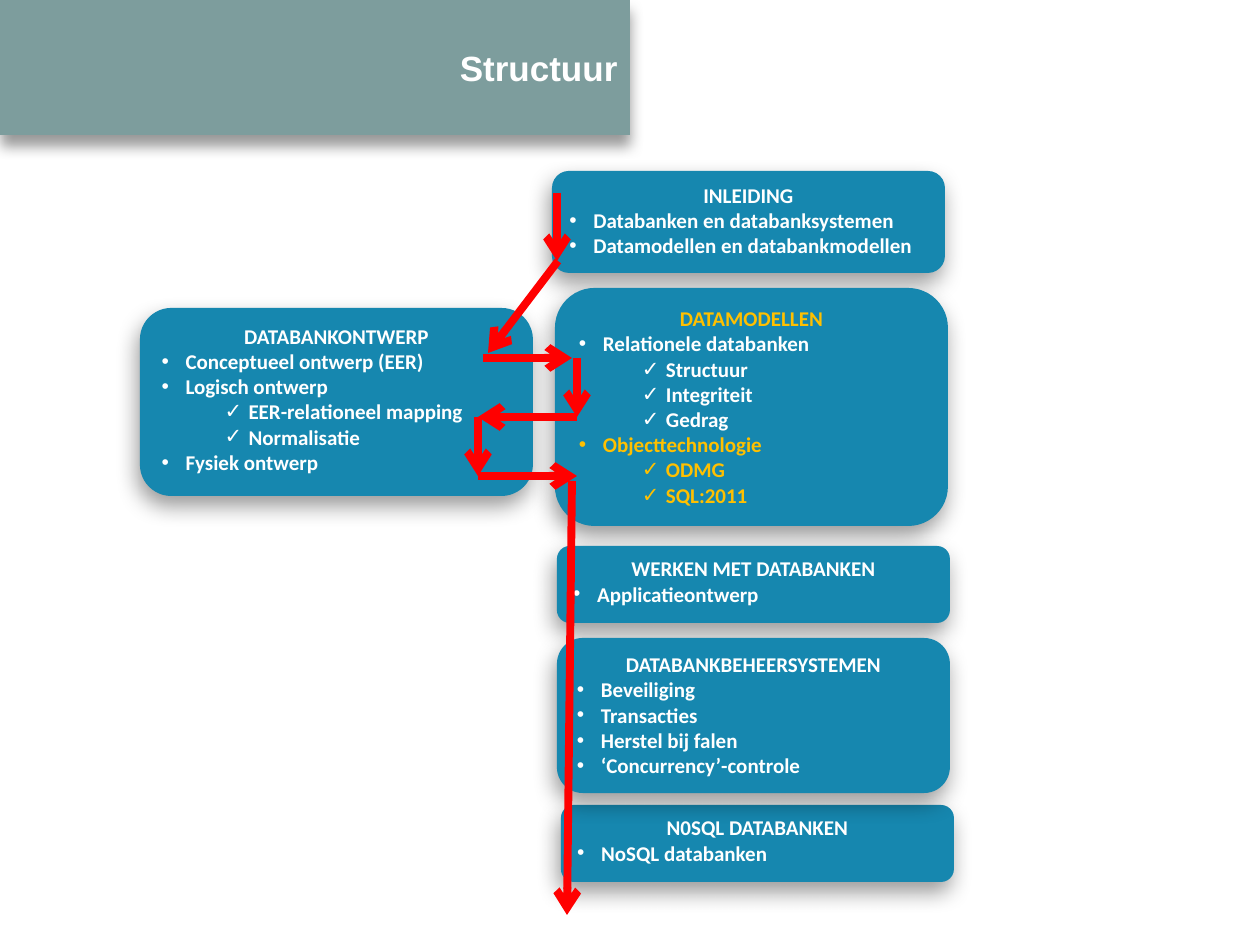
from dataclasses import dataclass

from lxml.etree import SubElement
from pptx import Presentation
from pptx.dml.color import RGBColor as RGB
from pptx.enum.shapes import MSO_CONNECTOR as CONN, MSO_SHAPE as SHAPE
from pptx.enum.text import MSO_ANCHOR as ANCHOR, PP_ALIGN as ALIGN
from pptx.oxml.ns import qn
from pptx.util import Emu, Pt

SCALE = 914400 / 126  # EMU per px


@dataclass(frozen=True)
class Theme:
    banner: str = "7D9D9D"
    box: str = "1687AF"
    text: str = "FFFFFF"
    current: str = "FFC000"
    arrow: str = "FF0000"
    shadow: str = "000000"
    title_font: str = "Arial"
    body_font: str = "Calibri"
    title_size: int = 20
    body_size: int = 12
    arrow_width: float = 4.5


T = Theme()


def px(n):
    return Emu(round(n * SCALE))


def add_panel(slide, shape, box, fill, blur, angle):
    """Filled shape without outline, with a soft drop shadow."""
    s = slide.shapes.add_shape(shape, *map(px, box))
    s.fill.solid()
    s.fill.fore_color.rgb = RGB.from_string(fill)
    s.line.fill.background()
    s.shadow.inherit = False
    shadow = SubElement(s._element.spPr.find(qn("a:effectLst")), qn("a:outerShdw"),
                        blurRad=str(Pt(blur)), dist=str(Pt(6)),
                        dir=str(angle * 60000), algn="t", rotWithShape="0")
    color = SubElement(shadow, qn("a:srgbClr"), val=T.shadow)
    SubElement(color, qn("a:alpha"), val="40000")
    s.text_frame.word_wrap = True
    return s


def add_bullet(p, char, left):
    """Hanging bullet with its text starting left px from the inset."""
    pPr = p._p.get_or_add_pPr()
    pPr.set("marL", str(px(left)))
    pPr.set("indent", str(-px(24)))
    SubElement(pPr, qn("a:buFont"), typeface="Arial")
    SubElement(pPr, qn("a:buChar"), char=char)


def write(p, text, font=T.body_font, size=T.body_size, color=T.text,
          align=ALIGN.LEFT, bullet=None, left=24):
    p.alignment = align
    if bullet:
        add_bullet(p, bullet, left)
    r = p.add_run()
    r.text = text
    r.font.name = font
    r.font.size = Pt(size)
    r.font.bold = True
    r.font.color.rgb = RGB.from_string(color)


def add_banner(slide, box, title):
    s = add_panel(slide, SHAPE.RECTANGLE, box, T.banner, blur=8, angle=90)
    s.text_frame.vertical_anchor = ANCHOR.MIDDLE
    write(s.text_frame.paragraphs[0], title, font=T.title_font,
          size=T.title_size, align=ALIGN.RIGHT)


def add_chapter(slide, box, heading, topics, current=()):
    """Rounded box: centred heading, topics, and subtopics in nested tuples."""
    s = add_panel(slide, SHAPE.ROUNDED_RECTANGLE, box, T.box, blur=13, angle=106)
    tf = s.text_frame
    tf.vertical_anchor = ANCHOR.TOP

    def color(text):
        return T.current if text in current else T.text

    write(tf.paragraphs[0], heading, color=color(heading), align=ALIGN.CENTER)
    for topic in topics:
        if isinstance(topic, tuple):
            for sub in topic:
                p = tf.add_paragraph()
                p.level = 1
                write(p, sub, color=color(sub), bullet="✓", left=87)
        else:
            write(tf.add_paragraph(), topic, color=color(topic), bullet="•")


def add_arrow(slide, start, end):
    c = slide.shapes.add_connector(CONN.STRAIGHT, *map(px, start + end))
    c.line.color.rgb = RGB.from_string(T.arrow)
    c.line.width = Pt(T.arrow_width)
    SubElement(c.line._get_or_add_ln(), qn("a:tailEnd"), type="arrow")
    SubElement(c._element.spPr, qn("a:effectLst"))


def add_chapters(slide, left, top):
    """Chapter boxes, relative to the left and top of the diagram."""
    # dx, dy, height, heading, topics
    chapters = [
        (421, 634, 77, "N0SQL DATABANKEN", ["NoSQL databanken"]),
        (412, 0, 102, "INLEIDING",
         ["Databanken en databanksystemen", "Datamodellen en databankmodellen"]),
        (0, 137, 188, "DATABANKONTWERP",
         ["Conceptueel ontwerp (EER)", "Logisch ontwerp",
          ("EER-relationeel mapping", "Normalisatie"), "Fysiek ontwerp"]),
        (415, 117, 238, "DATAMODELLEN",
         ["Relationele databanken", ("Structuur", "Integriteit", "Gedrag"),
          "Objecttechnologie", ("ODMG", "SQL:2011")]),
        (417, 375, 77, "WERKEN MET DATABANKEN", ["Applicatieontwerp"]),
        (417, 467, 155, "DATABANKBEHEERSYSTEMEN",
         ["Beveiliging", "Transacties", "Herstel bij falen",
          "‘Concurrency’-controle"]),
    ]
    current = {"DATAMODELLEN", "Objecttechnologie", "ODMG", "SQL:2011"}
    for dx, dy, height, heading, topics in chapters:
        add_chapter(slide, (left + dx, top + dy, 393, height),
                    heading, topics, current)


def add_route(slide, left, top):
    """Reading route through the chapters, relative to the diagram."""
    west, east, step = 338, 437, 59
    rows = [187 + step * i for i in range(3)]
    route = [
        ((418, 90), (348, 182)),
        ((343, rows[0]), (432, rows[0])),
        ((east, rows[1]), (west, rows[1])),
        ((west, rows[2]), (east, rows[2])),
        ((east, rows[0]), (east, rows[1])),
        ((west, rows[1]), (west, rows[2])),
        ((432, 310), (427, 744)),
        ((417, 22), (417, 90)),
    ]
    for (x1, y1), (x2, y2) in route:
        add_arrow(slide, (left + x1, top + y1), (left + x2, top + y2))


def main():
    prs = Presentation()
    prs.slide_width, prs.slide_height = px(1260), px(945)
    slide = prs.slides.add_slide(prs.slide_layouts[6])
    add_banner(slide, (0, 0, 630, 135), "Structuur")
    add_chapters(slide, 140, 171)
    add_route(slide, 140, 171)
    prs.save("out.pptx")


if __name__ == "__main__":
    main()
